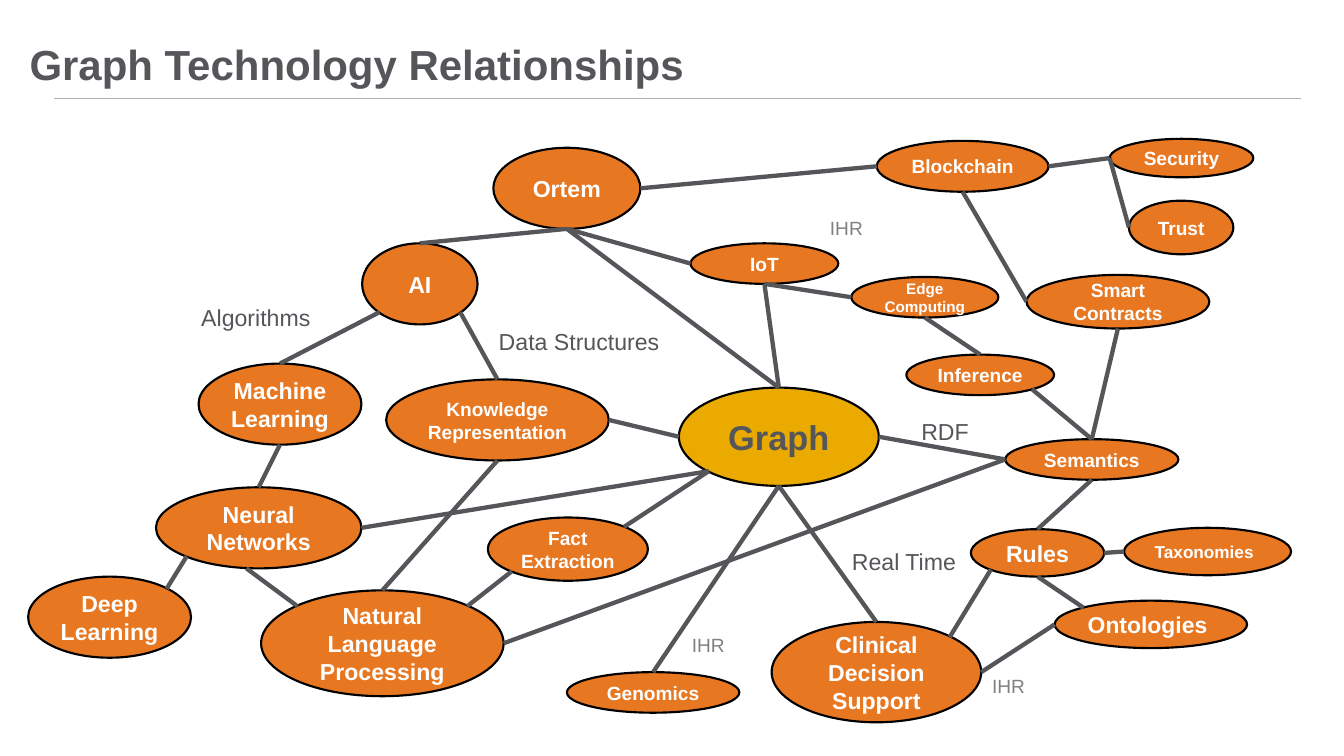
from lxml.etree import SubElement
from pptx import Presentation
from pptx.dml.color import RGBColor
from pptx.enum.shapes import MSO_CONNECTOR, MSO_SHAPE
from pptx.enum.text import MSO_ANCHOR, MSO_AUTO_SIZE, PP_ALIGN
from pptx.oxml.ns import qn
from pptx.util import Inches, Pt

FONT = "Arial"
GREY, PALE, RULE = "55565A", "808080", "B1B3B3"
ORANGE, GOLD, WHITE, BLACK = "E87722", "EAAA00", "FFFFFF", "000000"

# Name: left column, top row, columns wide, rows high, text size
NODES = {
    "Ortem": (71.8, 21.5, 21.4, 11.8, 24.2),
    "Graph": (98.8, 56.4, 29.1, 14.3, 36),
    "Clinical\nDecision\nSupport": (112.3, 90.5, 30.5, 14.6, 24.2),
    "Natural\nLanguage\nProcessing": (38, 85.9, 35.3, 15.4, 24.2),
    "AI": (52.7, 35.4, 16.8, 11.8, 24.2),
    "Machine\nLearning": (28.9, 52.9, 23.7, 11.8, 24.2),
    "Trust": (164.3, 29.2, 15.2, 7.8, 20),
    "Blockchain": (127.6, 20.5, 25, 7.4, 20),
    "Security": (161.5, 20.2, 20.9, 5.6, 20),
    "Deep\nLearning": (4.1, 83.9, 23.7, 11.8, 24.2),
    "Neural\nNetworks": (22.7, 70.9, 29.9, 11.8, 24.2),
    "Knowledge\nRepresentation": (56.2, 55.2, 32.4, 11.8, 20),
    "Rules": (141.3, 77, 19.4, 6.9, 24.2),
    "Inference": (131.9, 51.6, 21.5, 5.9, 20),
    "IoT": (100.5, 35.4, 21.5, 5.9, 20),
    "Semantics": (146.3, 63.9, 25.2, 5.9, 20),
    "Smart\nContracts": (149.4, 40, 26.6, 7.8, 20),
    "Edge\nComputing": (123.9, 40.3, 21.4, 5.9, 16),
    "Genomics": (82.5, 97.8, 25.1, 5.9, 20),
    "Ontologies": (153.5, 87.4, 28, 6.9, 24),
    "Taxonomies": (163.6, 76.8, 24.3, 6.9, 18),
    "Fact Extraction": (71, 75.3, 23.3, 9.2, 20),
}

# First word of a node and its side, for both ends
EDGES = """
Neural SW Deep NE; Ortem S Graph N; AI SW Machine N; AI SE Knowledge N
Knowledge S Natural N; IoT S Graph N; Knowledge E Graph W; Graph S Genomics N
Smart W Blockchain S; Trust W Security W; Ortem E Blockchain W; Ortem S AI N
Machine S Neural N; Security W Blockchain E; Graph S Clinical N; Ortem S IoT W
Natural E Semantics W; Rules SW Clinical NE; Semantics N Smart S
Semantics W Graph E; IoT S Edge W; Edge S Inference N; Semantics S Rules N
Semantics N Inference SE; Graph SW Neural E; Rules E Taxonomies W
Rules S Ontologies NW; Clinical E Ontologies W; Fact SW Natural NE
Graph SW Fact NE; Neural SSW Natural NW
"""

# Text, left column, top row, columns wide, rows high, size, colour
LABELS = [
    ("RDF", 133.1, 60.3, 9, 5.1, 24.2, GREY),
    ("Algorithms", 28.3, 43.7, 18.1, 5.1, 24.2, GREY),
    ("Data Structures", 71.6, 47.1, 25.6, 5.1, 24.2, GREY),
    ("Real Time", 123, 79.1, 17.3, 5.1, 24.2, GREY),
    ("IHR", 99.7, 91.7, 6.9, 4.4, 20, PALE),
    ("IHR", 119.8, 31, 6.9, 4.4, 20, PALE),
    ("IHR", 143.4, 97.7, 6.9, 4.4, 20, PALE),
]

# Sides of an oval as shares of its size, from the centre
DIAG = 0.35
SIDES = {
    "N": (0, -0.5), "S": (0, 0.5), "W": (-0.5, 0), "E": (0.5, 0),
    "NW": (-DIAG, -DIAG), "NE": (DIAG, -DIAG),
    "SW": (-DIAG, DIAG), "SE": (DIAG, DIAG), "SSW": (-0.06, 0.5),
}


def grid(*cells):
    """Turn columns or rows, ten to the inch, into lengths."""
    return [Inches(cell / 10) for cell in cells]


def tint(code):
    return RGBColor.from_string(code)


def write(para, text, size, color, bold=False):
    run = para.add_run()
    run.text = text
    font = run.font
    font.name, font.size, font.bold = FONT, Pt(size), bold
    font.color.rgb = tint(color)


def head(slide, text):
    title = slide.shapes.title
    title.left, title.top, title.width, title.height = grid(4.3, 4.6, 181.5, 8.5)
    frame = title.text_frame
    frame.margin_left = frame.margin_right = 0
    frame.margin_top = frame.margin_bottom = 0
    frame.auto_size = MSO_AUTO_SIZE.NONE
    frame.vertical_anchor = MSO_ANCHOR.BOTTOM
    para = frame.paragraphs[0]
    para.alignment, para.line_spacing = PP_ALIGN.LEFT, 0.9
    write(para, text, 44, GREY, True)


def line(slide, start, end, color, width):
    link = slide.shapes.add_connector(
        MSO_CONNECTOR.STRAIGHT, *grid(*start, *end))
    link.line.color.rgb = tint(color)
    link.line.width = Pt(width)
    SubElement(link._element.spPr, qn("a:effectLst"))


def oval(slide, name):
    *box, size = NODES[name]
    hub = name == "Graph"
    shape = slide.shapes.add_shape(MSO_SHAPE.OVAL, *grid(*box))
    shape.shadow.inherit = False
    shape.fill.solid()
    shape.fill.fore_color.rgb = tint(GOLD if hub else ORANGE)
    shape.line.color.rgb = tint(BLACK)
    shape.line.width = Pt(2.25)
    frame = shape.text_frame
    frame.word_wrap = True
    frame.vertical_anchor = MSO_ANCHOR.MIDDLE
    if name in ("Ontologies", "Taxonomies"):
        frame.margin_left = 0
    for row, text in enumerate(name.split("\n")):
        para = frame.add_paragraph() if row else frame.paragraphs[0]
        para.alignment = PP_ALIGN.CENTER
        write(para, text, size, GREY if hub else WHITE, True)


def label(slide, text, left, top, wide, high, size, color):
    box = slide.shapes.add_textbox(*grid(left, top, wide, high))
    frame = box.text_frame
    frame.word_wrap = False
    frame.auto_size = MSO_AUTO_SIZE.SHAPE_TO_FIT_TEXT
    write(frame.paragraphs[0], text, size, color)


def spot(word, side):
    """Find the point on one side of the node that starts with a word."""
    name = next(name for name in NODES if name.split()[0] == word)
    left, top, wide, high, _ = NODES[name]
    across, down = SIDES[side]
    return left + wide * (0.5 + across), top + high * (0.5 + down)


def main():
    deck = Presentation()
    deck.slide_width, deck.slide_height = grid(195.6, 110)
    slide = deck.slides.add_slide(deck.slide_layouts[5])

    # Title and its rule
    head(slide, "Graph Technology Relationships")
    line(slide, (7.9, 14.3), (189.4, 14.3), RULE, 1)

    # Network of topics
    for name in NODES:
        oval(slide, name)
    for edge in EDGES.strip().replace("\n", ";").split(";"):
        first, out, last, into = edge.split()
        line(slide, spot(first, out), spot(last, into), GREY, 4.5)

    # Notes beside the links
    for item in LABELS:
        label(slide, *item)

    deck.save("out.pptx")


if __name__ == "__main__":
    main()
